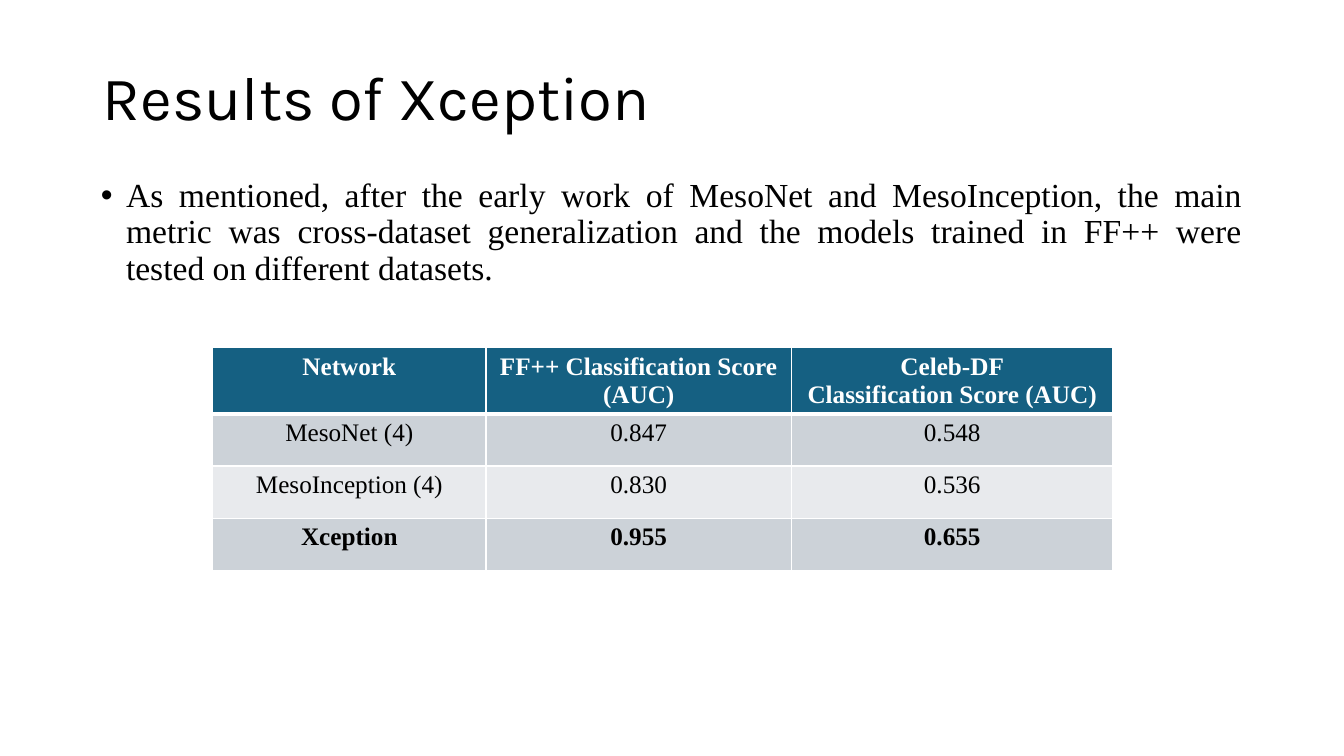
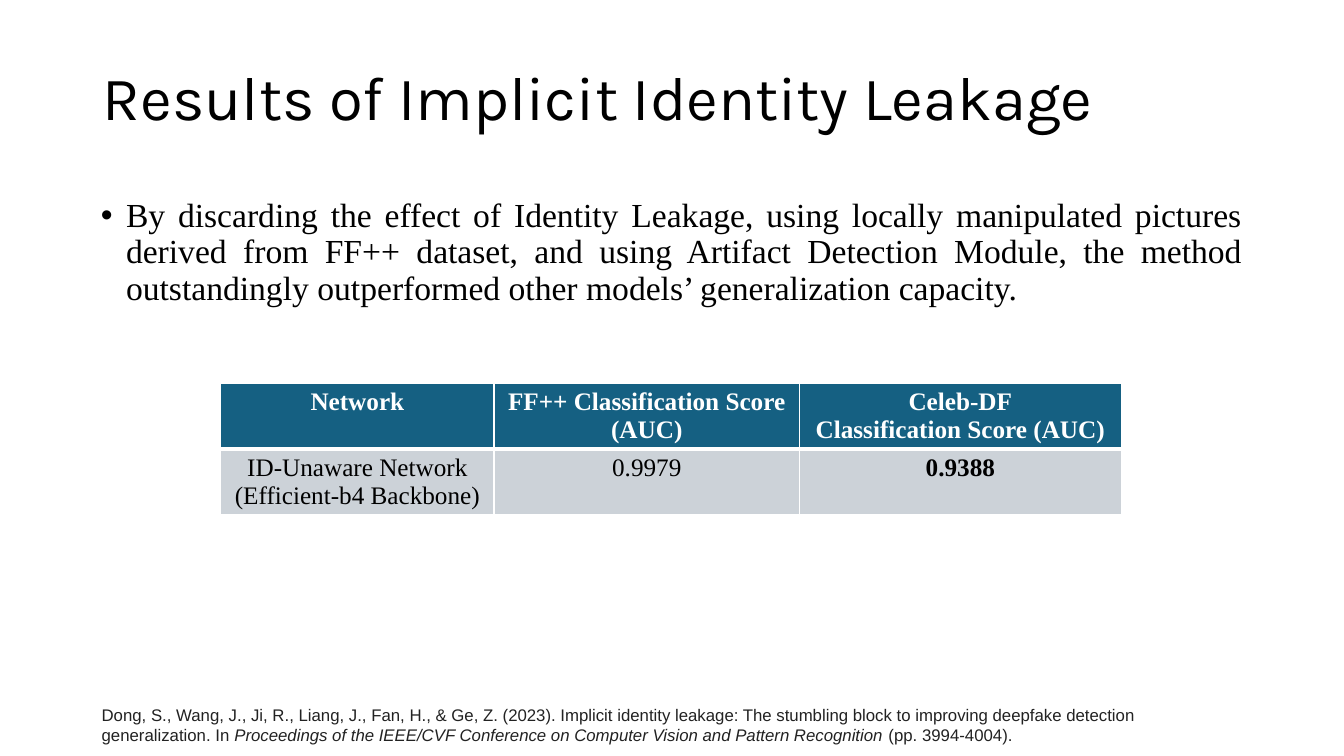
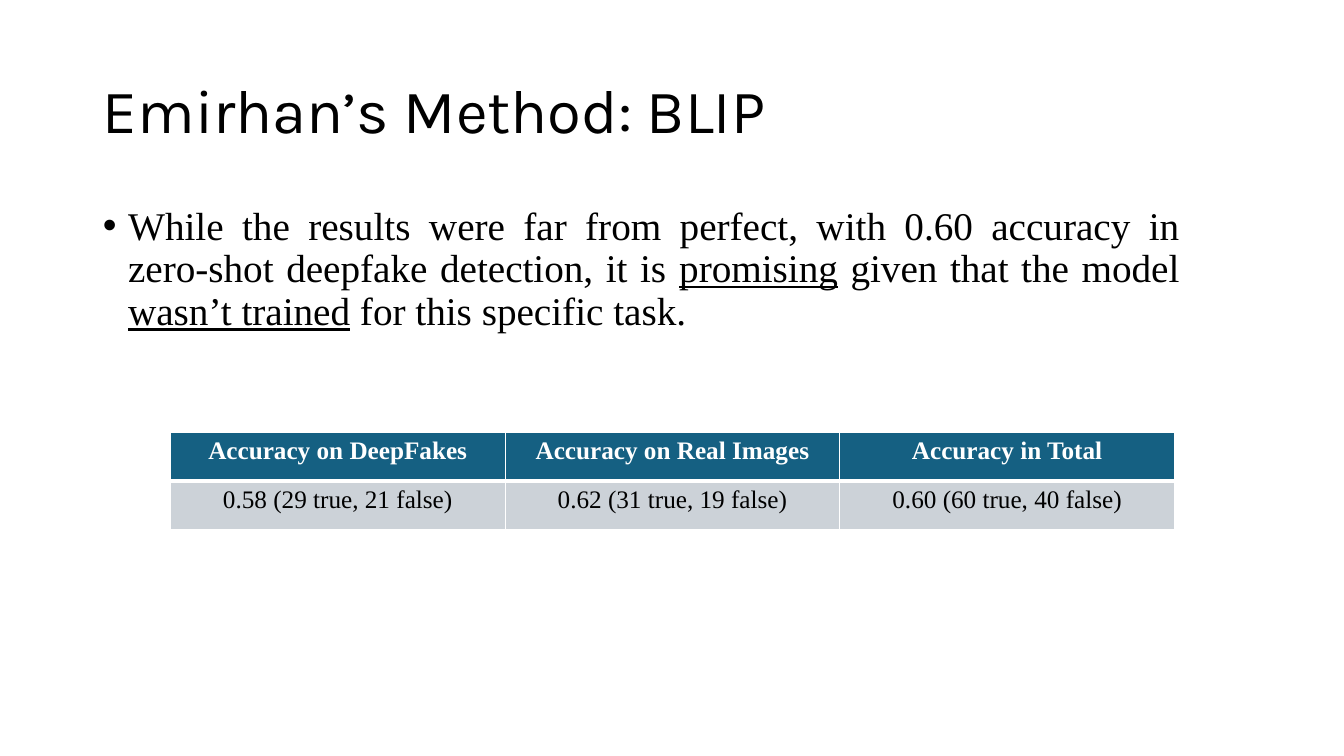
from lxml.etree import SubElement
from pptx import Presentation
from pptx.dml.color import RGBColor
from pptx.enum.text import MSO_ANCHOR as Anchor, MSO_AUTO_SIZE as AutoSize, PP_ALIGN as Align
from pptx.oxml.ns import qn
from pptx.util import Inches, Pt

COLORS = {
    "ink": "000000",
    "citation": "222222",
    "white": "FFFFFF",
    "header": "156082",
    "band_dark": "CCD2D8",
    "band_light": "E8EAED",
}
TITLE_FONT, BODY_FONT, CITATION_FONT = "Karla", "Times New Roman", "Arial"


def rgb(name):
    return RGBColor.from_string(COLORS[name])


def write_text(frame, text, size, font=BODY_FONT, color="ink", bold=False,
               align=Align.LEFT, line_spacing=1.0, bullet=False):
    """Fill a frame; text is a string with line breaks or a list of (text, style) runs."""
    lines = [[(line, "")] for line in text.split("\n")] if isinstance(text, str) else [text]
    for number, runs in enumerate(lines):
        paragraph = frame.add_paragraph() if number else frame.paragraphs[0]
        if bullet:
            properties = paragraph._p.get_or_add_pPr()
            properties.set("marL", str(Inches(0.25)))
            properties.set("indent", str(-Inches(0.25)))
            SubElement(properties, qn("a:buFont"), typeface="Arial")
            SubElement(properties, qn("a:buChar"), char="•")
        paragraph.alignment = align
        paragraph.line_spacing = line_spacing
        paragraph.space_before = Pt(0)
        for words, style in runs:
            run = paragraph.add_run()
            run.text = words
            run.font.name, run.font.size = font, Pt(size)
            run.font.color.rgb = rgb(color)
            run.font.bold = bold
            run.font.italic = style == "italic"
            run.font.underline = style == "underline"


def draw_borders(cell, **widths):
    """Draw white cell borders; widths are points, keyed L, R, T, B."""
    properties = cell._tc.get_or_add_tcPr()
    for side, width in widths.items():
        line = SubElement(properties, qn(f"a:ln{side}"), w=str(Pt(width)))
        fill = SubElement(line, qn("a:solidFill"))
        SubElement(fill, qn("a:srgbClr"), val=COLORS["white"])


class Deck:
    def __init__(self):
        self.presentation = Presentation()
        self.presentation.slide_width = Inches(13.33)
        self.presentation.slide_height = Inches(7.5)
        self.slide = None

    def place(self, shape, left, top, width, height, anchor):
        shape.left, shape.top = Inches(left), Inches(top)
        shape.width, shape.height = Inches(width), Inches(height)
        shape.text_frame.word_wrap = True
        shape.text_frame.auto_size = AutoSize.NONE
        shape.text_frame.vertical_anchor = anchor
        return shape.text_frame

    def new_slide(self, title, top=0.27):
        layout = self.presentation.slide_layouts[1]
        self.slide = self.presentation.slides.add_slide(layout)
        frame = self.place(self.slide.shapes.title, 0.92, top, 11.5, 1.45, Anchor.MIDDLE)
        write_text(frame, title, 44, font=TITLE_FONT, line_spacing=0.9)

    def bullet(self, text, top, left=0.9, width=11.52, height=1.33, size=24):
        body = self.slide.placeholders[1]
        frame = self.place(body, left, top, width, height, Anchor.TOP)
        write_text(frame, text, size, align=Align.JUSTIFY, line_spacing=0.9, bullet=True)

    def table(self, rows, left, top, widths, heights, bold=()):
        table = self.slide.shapes.add_table(
            len(rows), len(widths), Inches(left), Inches(top),
            Inches(sum(widths)), Inches(sum(heights))).table
        for column, width in zip(table.columns, widths):
            column.width = Inches(width)
        for index, (values, height) in enumerate(zip(rows, heights)):
            table.rows[index].height = Inches(height)
            header = index == 0
            band = "header" if header else "band_dark" if index % 2 else "band_light"
            for cell, value in zip(table.rows[index].cells, values):
                draw_borders(cell, L=1, R=1, T=3 if index == 1 else 1, B=3 if header else 1)
                cell.fill.solid()
                cell.fill.fore_color.rgb = rgb(band)
                write_text(cell.text_frame, value, 18, align=Align.CENTER,
                           color="white" if header else "ink",
                           bold=header or value in bold)

    def citation(self, runs):
        box = self.slide.shapes.add_textbox(0, 0, 0, 0)
        frame = self.place(box, 0.91, 6.94, 11.52, 0.5, Anchor.TOP)
        write_text(frame, runs, 12, font=CITATION_FONT, color="citation")


SCORE_HEADER = ("Network", "FF++ Classification Score (AUC)",
                "Celeb-DF\nClassification Score (AUC)")
SCORE_WIDTHS = (2.71, 3.03, 3.19)


def main():
    deck = Deck()

    # Xception
    deck.new_slide("Results of Xception")
    deck.bullet("As mentioned, after the early work of MesoNet and MesoInception, the main "
                "metric was cross-dataset generalization and the models trained in FF++ were "
                "tested on different datasets.", top=1.72)
    deck.table([SCORE_HEADER,
                ("MesoNet (4)", "0.847", "0.548"),
                ("MesoInception (4)", "0.830", "0.536"),
                ("Xception", "0.955", "0.655")],
               2.11, 3.45, SCORE_WIDTHS, (0.64, 0.52, 0.52, 0.52),
               bold=("Xception", "0.955", "0.655"))

    # Implicit identity leakage
    deck.new_slide("Results of Implicit Identity Leakage")
    deck.bullet("By discarding the effect of Identity Leakage, using locally manipulated "
                "pictures derived from FF++ dataset, and using Artifact Detection Module, the "
                "method outstandingly outperformed other models’ generalization capacity.",
                top=1.92)
    deck.table([SCORE_HEADER,
                ("ID-Unaware Network\n(Efficient-b4 Backbone)", "0.9979", "0.9388")],
               2.19, 3.8, SCORE_WIDTHS, (0.64, 0.64), bold=("0.9388",))
    deck.citation([
        ("Dong, S., Wang, J., Ji, R., Liang, J., Fan, H., & Ge, Z. (2023). Implicit identity "
         "leakage: The stumbling block to improving deepfake detection generalization. In ", ""),
        ("Proceedings of the IEEE/CVF Conference on Computer Vision and Pattern Recognition",
         "italic"),
        (" (pp. 3994-4004).", "")])

    # BLIP
    deck.new_slide("Emirhan’s Method: BLIP", top=0.4)
    deck.bullet([
        ("While the results were far from perfect, with 0.60 accuracy in zero-shot deepfake "
         "detection, it is ", ""),
        ("promising", "underline"),
        (" given that the model ", ""),
        ("wasn’t trained", "underline"),
        (" for this specific task.", "")],
        top=2, left=0.92, width=10.88, height=1.59, size=28)
    deck.table([("Accuracy on DeepFakes", "Accuracy on Real Images", "Accuracy in Total"),
                ("0.58 (29 true, 21 false)", "0.62 (31 true, 19 false)",
                 "0.60 (60 true, 40 false)")],
               1.69, 4.29, (3.32,) * 3, (0.48, 0.48))

    deck.presentation.save("out.pptx")


if __name__ == "__main__":
    main()
